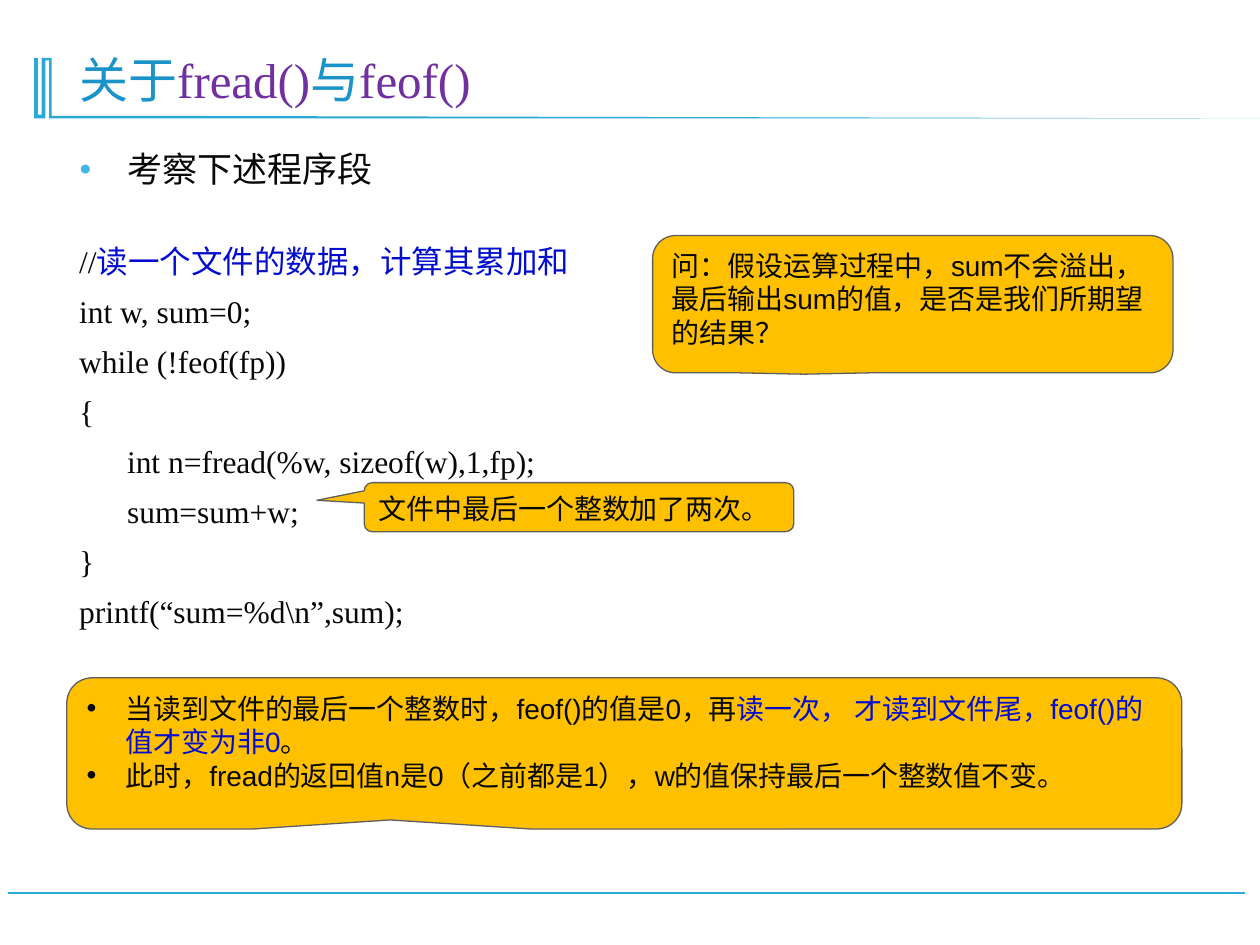
import dataclasses
import typing

import lxml.etree
import pptx
import pptx.dml.color
import pptx.enum.shapes
import pptx.enum.text
import pptx.oxml.ns
import pptx.util

CYAN = pptx.dml.color.RGBColor(0x28, 0xA9, 0xD6)
TITLE_BLUE = pptx.dml.color.RGBColor(0x1A, 0x93, 0xC8)
PURPLE = pptx.dml.color.RGBColor(0x70, 0x30, 0xA0)
BULLET_BLUE = pptx.dml.color.RGBColor(0x47, 0xB6, 0xE7)
INK = pptx.dml.color.RGBColor(0x08, 0x08, 0x08)
BLUE = pptx.dml.color.RGBColor(0x03, 0x0D, 0xCD)
AMBER = pptx.dml.color.RGBColor(0xFF, 0xC0, 0x00)
GREY = pptx.dml.color.RGBColor(0x5F, 0x5F, 0x5F)

WIDTH = pptx.util.Inches(10)
HEIGHT = pptx.util.Inches(7.5)
SERIF = "Times New Roman"
SANS = "Arial"
LEFT = 5.3
CONTENT_WIDTH = 88.5


@dataclasses.dataclass
class Frame:
    """Position and size as percentages of the slide."""

    left: float
    top: float
    width: float
    height: float

    def lengths(self) -> tuple[int, int, int, int]:
        return (across(self.left), down(self.top), across(self.width), down(self.height))


@dataclasses.dataclass
class Run:
    text: str
    color: pptx.dml.color.RGBColor = INK


@dataclasses.dataclass
class Bullet:
    character: str
    color: typing.Optional[pptx.dml.color.RGBColor] = None
    percent: int = 100


@dataclasses.dataclass
class Line:
    runs: list[Run]
    space_before: float = 0
    line_spacing: float = 1
    margin: float = 0
    bullet: typing.Optional[Bullet] = None


@dataclasses.dataclass
class Callout:
    frame: Frame
    tip: tuple[float, float]
    lines: list[Line]


def across(percent: float) -> int:
    return round(WIDTH * percent / 100)


def down(percent: float) -> int:
    return round(HEIGHT * percent / 100)


def apply(target: typing.Any, values: dict[str, typing.Any]) -> None:
    for name, value in values.items():
        setattr(target, name, value)


def add_bullet(properties: typing.Any, bullet: Bullet) -> None:
    def child(parent: typing.Any, tag: str, **attributes: str) -> typing.Any:
        return lxml.etree.SubElement(parent, pptx.oxml.ns.qn(tag), **attributes)

    if bullet.color is not None:
        child(child(properties, "a:buClr"), "a:srgbClr", val=str(bullet.color))
    child(properties, "a:buSzPct", val=str(bullet.percent * 1000))
    child(properties, "a:buFont", typeface=SANS)
    child(properties, "a:buChar", char=bullet.character)


def write_lines(shape: typing.Any, lines: list[Line], font: str, size: float,
                anchor: typing.Any = pptx.enum.text.MSO_ANCHOR.TOP) -> None:
    frame = shape.text_frame
    apply(frame, {
        "word_wrap": True,
        "auto_size": pptx.enum.text.MSO_AUTO_SIZE.NONE,
        "vertical_anchor": anchor,
    })
    for index, line in enumerate(lines):
        paragraph = frame.paragraphs[0] if index == 0 else frame.add_paragraph()
        apply(paragraph, {
            "alignment": pptx.enum.text.PP_ALIGN.LEFT,
            "space_before": pptx.util.Pt(line.space_before),
            "line_spacing": line.line_spacing,
        })
        properties = paragraph._p.get_or_add_pPr()
        if line.margin:
            margin = pptx.util.Inches(line.margin)
            properties.set("marL", str(margin))
            if line.bullet:
                properties.set("indent", str(-margin))
        if line.bullet:
            add_bullet(properties, line.bullet)
        for part in line.runs:
            run = paragraph.add_run()
            run.text = part.text
            apply(run.font, {"name": font, "size": pptx.util.Pt(size)})
            run.font.color.rgb = part.color


def add_text(slide: typing.Any, frame: Frame, lines: list[Line], size: float) -> None:
    write_lines(slide.shapes.add_textbox(*frame.lengths()), lines, SERIF, size)


def add_callout(slide: typing.Any, callout: Callout) -> None:
    kind = pptx.enum.shapes.MSO_SHAPE.ROUNDED_RECTANGULAR_CALLOUT
    shape = slide.shapes.add_shape(kind, *callout.frame.lengths())
    shape.shadow.inherit = False
    for index, value in enumerate((*callout.tip, 0.167)):
        shape.adjustments[index] = value
    shape.fill.solid()
    shape.fill.fore_color.rgb = AMBER
    shape.line.color.rgb = GREY
    shape.line.width = pptx.util.Pt(0.75)
    write_lines(shape, callout.lines, SANS, 16)


def add_footer_rule(slide: typing.Any) -> None:
    rule = slide.shapes.add_connector(
        pptx.enum.shapes.MSO_CONNECTOR.STRAIGHT,
        across(98.8), down(94.53), across(0.6), down(94.53))
    rule.line.color.rgb = CYAN
    rule.line.width = pptx.util.Pt(1.25)
    lxml.etree.SubElement(rule._element.spPr, pptx.oxml.ns.qn("a:effectLst"))


def add_title_accent(slide: typing.Any) -> None:
    points = [
        (4.1, 6.13), (4.1, 12.27), (14, 12.27), (100.9, 12.53), (3.9, 12.53),
        (3.9, 6.4), (3.6, 6.4), (3.6, 12.53), (2.7, 12.53), (2.7, 6.13),
        (3, 6.13), (3, 12.13), (3.3, 12.13), (3.3, 6.13),
    ]
    corners = [(across(x), down(y)) for x, y in points]
    builder = slide.shapes.build_freeform(*corners[0])
    builder.add_line_segments(corners[1:], close=True)
    accent = builder.convert_to_shape()
    accent.shadow.inherit = False
    accent.fill.solid()
    accent.fill.fore_color.rgb = CYAN
    accent.line.fill.background()


def main() -> None:
    presentation = pptx.Presentation()
    apply(presentation, {"slide_width": WIDTH, "slide_height": HEIGHT})
    slide = presentation.slides.add_slide(presentation.slide_layouts[5])
    add_footer_rule(slide)
    add_title_accent(slide)

    title = slide.shapes.title
    title_frame = Frame(LEFT, 3.73, CONTENT_WIDTH, 8.53)
    apply(title, dict(zip(("left", "top", "width", "height"), title_frame.lengths())))
    title_runs = [Run("关于", TITLE_BLUE), Run("fread()", PURPLE),
                  Run("与", TITLE_BLUE), Run("feof()", PURPLE)]
    write_lines(title, [Line(title_runs, line_spacing=0.9)], SERIF, 28,
                pptx.enum.text.MSO_ANCHOR.BOTTOM)

    topic = Line([Run("考察下述程序段")], 6, margin=0.38, bullet=Bullet("●", BULLET_BLUE, 60))
    add_text(slide, Frame(LEFT, 14.93, CONTENT_WIDTH, 6.67), [topic], 20)

    dot = Bullet("•")
    add_callout(slide, Callout(Frame(LEFT, 71.73, CONTENT_WIDTH, 16), (-0.21, 0.44), [
        Line([Run("当读到文件的最后一个整数时，feof()的值是0，再"),
              Run("读一次， 才读到文件尾，feof()的值才变为非0", BLUE),
              Run("。")], margin=0.31, bullet=dot),
        Line([Run("此时，fread的返回值n是0（之前都是1），w的值保持最后一个整数值不变。")],
             margin=0.31, bullet=dot),
    ]))

    code = [
        ("int w, sum=0;", 0), ("while (!feof(fp))", 0), ("{", 0),
        ("int n=fread(%w, sizeof(w),1,fp);", 0.38), ("sum=sum+w;", 0.38),
        ("}", 0), ("printf(“sum=%d\\n”,sum);", 0),
    ]
    comment = Line([Run("//"), Run("读一个文件的数据，计算其累加和", BLUE)], 7)
    statements = [Line([Run(text)], 7, margin=margin) for text, margin in code]
    add_text(slide, Frame(LEFT, 24.93, CONTENT_WIDTH, 35.6), [comment, *statements], 18)

    add_callout(slide, Callout(Frame(51.8, 24.93, 41.3, 14.53), (-0.21, 0.51), [
        Line([Run("问：假设运算过程中，sum不会溢出，最后输出sum的值，是否是我们所期望的结果？")]),
    ]))
    add_callout(slide, Callout(Frame(28.9, 51.07, 34.1, 5.2), (-0.61, -0.14), [
        Line([Run("文件中最后一个整数加了两次。")]),
    ]))
    presentation.save("out.pptx")


if __name__ == "__main__":
    main()
